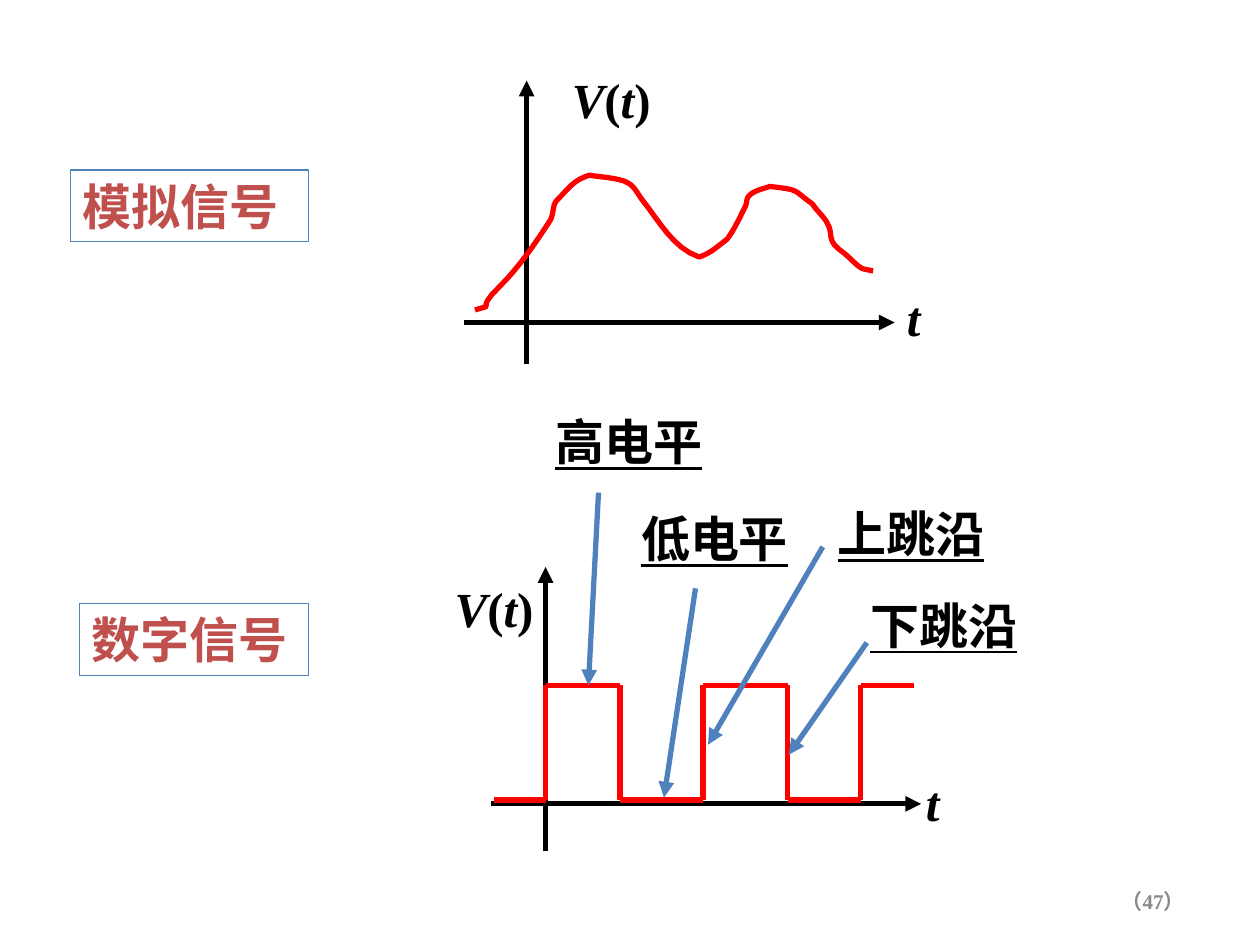
from dataclasses import dataclass
from itertools import pairwise

from lxml import etree
from pptx import Presentation
from pptx import util as u
from pptx.dml import color
from pptx.enum import shapes, text
from pptx.oxml import ns


@dataclass(frozen=True)
class Theme:
    font: str = "Times New Roman"
    ink: str = "000000"
    wave: str = "FF0000"
    blue: str = "4F81BD"
    name: str = "C0504D"
    grey: str = "898989"
    body: int = 28
    small: int = 12
    thin: float = 0.75
    thick: float = 3


THEME = Theme()

CURVE = [
    (3.77, 2.46),
    (3.97, 2.4), (3.74, 2.49), (3.97, 2.27),
    (4.12, 2.12), (4.25, 1.93), (4.36, 1.76),
    (4.4, 1.71), (4.38, 1.63), (4.42, 1.59),
    (4.52, 1.49), (4.55, 1.43), (4.68, 1.39),
    (4.7, 1.4), (4.92, 1.41), (4.98, 1.45),
    (5.04, 1.48), (5.06, 1.54), (5.1, 1.59),
    (5.23, 1.75), (5.34, 1.97), (5.55, 2.04),
    (5.64, 2.01), (5.69, 1.96), (5.77, 1.9),
    (5.83, 1.82), (5.87, 1.73), (5.91, 1.65),
    (5.93, 1.62), (5.92, 1.59), (5.94, 1.56),
    (5.98, 1.51), (6.06, 1.5), (6.11, 1.48),
    (6.36, 1.51), (6.28, 1.5), (6.45, 1.62),
    (6.48, 1.67), (6.53, 1.71), (6.56, 1.76),
    (6.63, 1.87), (6.54, 1.9), (6.7, 2.01),
    (6.75, 2.05), (6.79, 2.1), (6.84, 2.13),
    (6.87, 2.14), (6.93, 2.15), (6.93, 2.15),
]
EDGES = [3.92, 4.33, 4.92, 5.58, 6.25, 6.83, 7.25]
LOW, HIGH = 6.35, 5.44

NAMES = [
    ("模拟信号", (0.56, 1.35, 1.89, 0.57)),
    ("数字信号", (0.63, 4.79, 1.82, 0.57)),
]
AXES = [
    ((3.68, 2.56), (7.1, 2.56), "t", (7.1, 2.23, 0.67, 0.57)),
    ((4.18, 2.89), (4.18, 0.64), "V(t)", (4.44, 0.5, 1.1, 0.57)),
    ((3.9, 6.38), (7.31, 6.38), "t", (7.25, 6.08, 0.67, 0.57)),
    ((4.33, 6.75), (4.33, 4.5), "V(t)", (3.51, 4.54, 0.85, 0.57)),
]
NOTES = [
    ("高电平", (4.31, 3.22, 1.58, 0.57), (4.75, 3.91), (4.67, 5.44)),
    ("低电平", (4.99, 3.99, 1.44, 0.57), (5.52, 4.67), (5.27, 6.33)),
    ("上跳沿", (6.55, 3.95, 1.42, 0.57), (6.53, 4.34), (5.62, 5.91)),
    ("下跳沿", (6.81, 4.68, 1.5, 0.57), (6.88, 5.1), (6.26, 5.99)),
]


def inches(vals):
    return [u.Inches(v) for v in vals]


def paint(line, hue, width):
    line.color.rgb = color.RGBColor.from_string(hue)
    line.width = u.Pt(width)


def write(shape, parts, hue=THEME.ink, size=THEME.body,
          align=text.PP_ALIGN.LEFT, anchor=text.MSO_ANCHOR.TOP):
    frame = shape.text_frame
    frame.word_wrap = True
    frame.vertical_anchor = anchor
    para = frame.paragraphs[0]
    para.alignment = align
    for words, style in parts:
        run = para.add_run()
        run.text = words
        look = {"name": THEME.font, "size": u.Pt(size), "bold": True} | style
        for key, val in look.items():
            setattr(run.font, key, val)
        run.font.color.rgb = color.RGBColor.from_string(hue)


def label(group, box, parts, **look):
    shape = group.shapes.add_textbox(*inches(box))
    write(shape, parts, **look)


def symbol(words):
    return [(char, {"italic": char.isalpha()}) for char in words]


def stroke(group, start, end, hue, arrow=False):
    line = group.shapes.add_connector(
        shapes.MSO_CONNECTOR.STRAIGHT, *inches(start + end))
    paint(line.line, hue, THEME.thick)
    props = line.element.spPr
    if arrow:
        etree.SubElement(props.find(ns.qn("a:ln")), ns.qn("a:tailEnd"),
                         type="triangle")
    etree.SubElement(props, ns.qn("a:effectLst"))


def name_box(slide, words, box):
    shape = slide.shapes.add_shape(shapes.MSO_SHAPE.RECTANGLE, *inches(box))
    shape.shadow.inherit = False
    shape.fill.background()
    paint(shape.line, THEME.blue, THEME.thin)
    write(shape, [(words, {})], hue=THEME.name)


def axes(slide, pair):
    group = slide.shapes.add_group_shape()
    for start, end, words, box in pair:
        stroke(group, start, end, THEME.ink, arrow=True)
        label(group, box, symbol(words))


def bezier(knots, step):
    weights = ((1 - step) ** 3, 3 * step * (1 - step) ** 2,
               3 * step ** 2 * (1 - step), step ** 3)
    return tuple(sum(w * v for w, v in zip(weights, axis))
                 for axis in zip(*knots))


def analog(slide, count=8):
    points = [inches(bezier(CURVE[i:i + 4], n / count))
              for i in range(0, len(CURVE) - 1, 3)
              for n in range(1, count + 1)]
    build = slide.shapes.build_freeform(*inches(CURVE[0]))
    build.add_line_segments(points, close=False)
    shape = build.convert_to_shape()
    shape.shadow.inherit = False
    shape.fill.background()
    paint(shape.line, THEME.wave, THEME.thick)


def digital(slide):
    group = slide.shapes.add_group_shape()
    points = []
    for i, (left, right) in enumerate(pairwise(EDGES)):
        level = HIGH if i % 2 else LOW
        points += [(left, level), (right, level)]
    for start, end in pairwise(points):
        stroke(group, start, end, THEME.wave)


def note(slide, words, box, start, end):
    group = slide.shapes.add_group_shape()
    label(group, box, [(words, {"underline": True})])
    stroke(group, start, end, THEME.blue, arrow=True)


def main():
    deck = Presentation()
    deck.slide_width, deck.slide_height = inches((10, 7.5))
    slide = deck.slides.add_slide(deck.slide_layouts[6])
    label(slide, (7.17, 6.95, 2.33, 0.4), [("（47）", {})], hue=THEME.grey,
          size=THEME.small, align=text.PP_ALIGN.RIGHT,
          anchor=text.MSO_ANCHOR.MIDDLE)
    for item in NAMES:
        name_box(slide, *item)
    axes(slide, AXES[:2])
    analog(slide)
    axes(slide, AXES[2:])
    digital(slide)
    for item in NOTES:
        note(slide, *item)
    deck.save("out.pptx")


if __name__ == "__main__":
    main()
